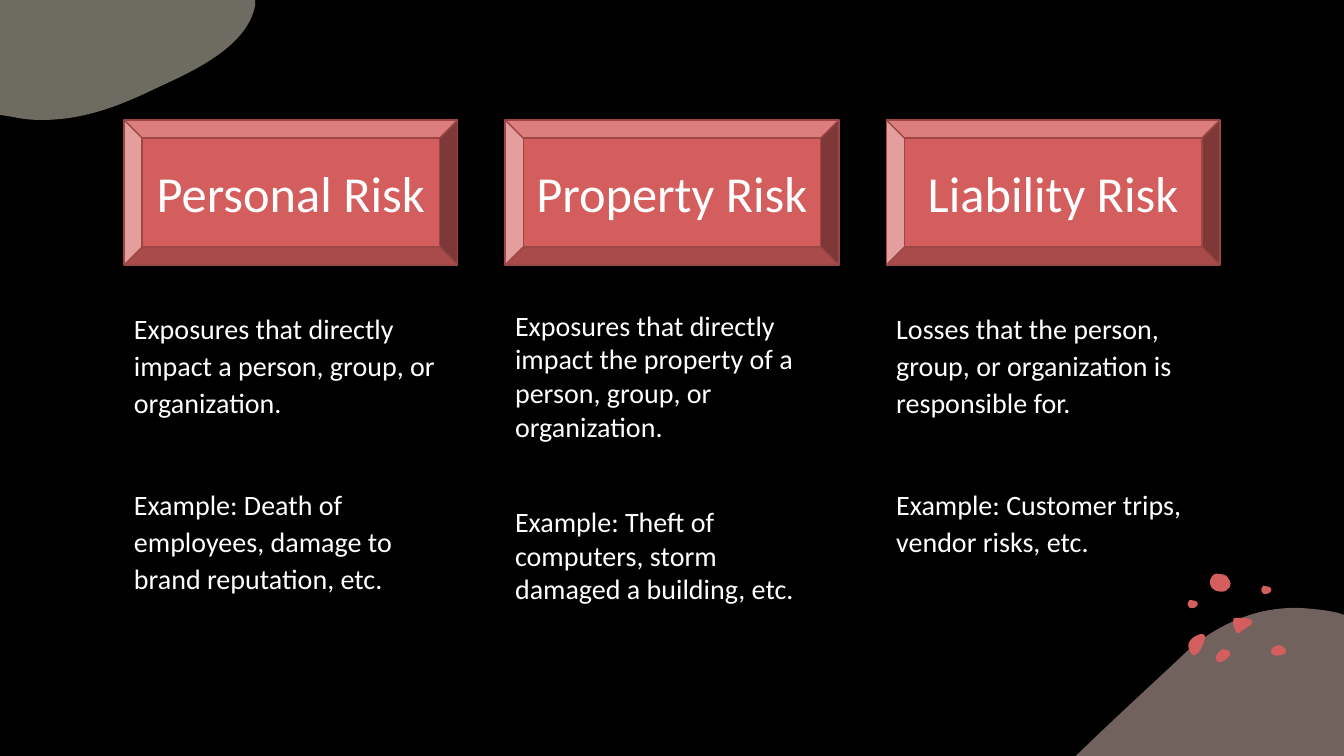
"""Build a slide that compares personal, property and liability risk."""
from dataclasses import dataclass

from lxml.etree import SubElement
from pptx import Presentation
from pptx.dml.color import RGBColor
from pptx.enum.shapes import MSO_SHAPE
from pptx.enum.text import MSO_ANCHOR, PP_ALIGN
from pptx.oxml.ns import qn
from pptx.util import Inches, Pt


@dataclass(frozen=True)
class Theme:
    font: str = "Calibri"
    heading_size: int = 36
    body_size: int = 20
    background: str = "000000"
    text: str = "FFFFFF"
    accent: str = "D45E5E"
    accent_line: str = "9D4646"
    rose: str = "E5C4BA"
    sand: str = "DCD9C3"


theme = Theme()


def add_outline(start, segments, color, opacity=100, shift=(0, 0)):
    """Draw a closed outline from lines (2 numbers) and cubic curves (6 numbers)."""
    shift_x, shift_y = shift
    builder = slide.shapes.build_freeform(
        Inches(start[0] + shift_x), Inches(start[1] + shift_y))
    builder.add_line_segments(
        [(Inches(segment[-2] + shift_x), Inches(segment[-1] + shift_y))
         for segment in segments], close=True)
    shape = builder.convert_to_shape()
    for segment, line in zip(segments, list(shape._element.iter(qn("a:lnTo")))):
        if len(segment) == 6:
            line.tag = qn("a:cubicBezTo")
            end_point = line[0]
            for x, y in (segment[:2], segment[2:4]):
                control_point = SubElement(line, qn("a:pt"))
                control_point.set("x", str(Inches(x + shift_x) - shape.left))
                control_point.set("y", str(Inches(y + shift_y) - shape.top))
            line.append(end_point)
    shape.shadow.inherit = False
    shape.line.fill.background()
    shape.fill.solid()
    shape.fill.fore_color.rgb = RGBColor.from_string(color)
    if opacity < 100:
        fill_color = shape._element.spPr.find(qn("a:solidFill"))[0]
        SubElement(fill_color, qn("a:alpha"), val=str(opacity * 1000))


def add_text(paragraph, text, size):
    """Add one run in the slide font and text colour."""
    run = paragraph.add_run()
    run.text = text
    run.font.name = theme.font
    run.font.size = Pt(size)
    run.font.color.rgb = RGBColor.from_string(theme.text)


presentation = Presentation()
presentation.slide_width = Inches(13.33)
presentation.slide_height = Inches(7.5)
slide = presentation.slides.add_slide(presentation.slide_layouts[6])
slide.background.fill.solid()
slide.background.fill.fore_color.rgb = RGBColor.from_string(theme.background)

add_outline((12.88, 6.03), [
    (13.01, 6.04, 13.14, 6.05, 13.27, 6.08), (13.33, 6.1), (13.33, 7.5),
    (10.67, 7.5), (10.68, 7.49), (11.02, 7.16, 11.37, 6.84, 11.69, 6.54),
    (11.91, 6.32, 12.14, 6.19, 12.37, 6.11), (12.54, 6.05, 12.71, 6.03, 12.88, 6.03),
], theme.rose, opacity=50)

spots = [
    ((12.13, 6.44), [
        (12.15, 6.44, 12.16, 6.44, 12.18, 6.45), (12.2, 6.46, 12.21, 6.48, 12.2, 6.5),
        (12.18, 6.53, 12.12, 6.58, 12.08, 6.57), (12.07, 6.56, 12.06, 6.54, 12.06, 6.52),
        (12.06, 6.5, 12.08, 6.47, 12.1, 6.46), (12.11, 6.45, 12.12, 6.44, 12.13, 6.44),
    ]),
    ((11.91, 6.29), [
        (11.93, 6.29, 11.95, 6.29, 11.95, 6.31), (11.95, 6.32, 11.95, 6.32, 11.95, 6.33),
        (11.94, 6.38, 11.92, 6.43, 11.89, 6.47), (11.87, 6.49, 11.84, 6.52, 11.82, 6.49),
        (11.79, 6.46, 11.78, 6.41, 11.79, 6.38), (11.8, 6.35, 11.82, 6.34, 11.84, 6.32),
        (11.85, 6.32, 11.88, 6.29, 11.91, 6.29),
    ]),
    ((12.69, 6.4), [
        (12.71, 6.4, 12.74, 6.42, 12.75, 6.44), (12.76, 6.46, 12.76, 6.48, 12.73, 6.49),
        (12.7, 6.51, 12.62, 6.51, 12.61, 6.48), (12.6, 6.46, 12.61, 6.44, 12.62, 6.43),
        (12.64, 6.41, 12.66, 6.4, 12.69, 6.4),
    ]),
    ((12.01, 5.81), [
        (12, 5.81, 11.99, 5.75, 12.02, 5.72), (12.04, 5.7, 12.04, 5.69, 12.07, 5.69),
        (12.1, 5.69, 12.14, 5.7, 12.16, 5.71), (12.18, 5.73, 12.22, 5.78, 12.2, 5.82),
        (12.17, 5.85, 12.16, 5.87, 12.12, 5.87), (12.09, 5.87, 12.04, 5.86, 12.03, 5.84),
        (12.01, 5.83, 12.01, 5.82, 12.01, 5.81),
    ]),
    ((12.28, 6.13), [
        (12.34, 6.13, 12.45, 6.13, 12.41, 6.19), (12.41, 6.2, 12.4, 6.21, 12.39, 6.21),
        (12.36, 6.23, 12.33, 6.25, 12.3, 6.27), (12.29, 6.28, 12.28, 6.29, 12.27, 6.28),
        (12.27, 6.28, 12.26, 6.27, 12.26, 6.27), (12.24, 6.23, 12.23, 6.2, 12.23, 6.16),
        (12.23, 6.15, 12.23, 6.14, 12.24, 6.13), (12.24, 6.13, 12.25, 6.13, 12.25, 6.13),
        (12.26, 6.13, 12.27, 6.13, 12.28, 6.13),
    ]),
]
for start, segments in spots:
    add_outline(start, segments, theme.accent)

for shift in ((0, 0), (-0.73, 0.14)):
    add_outline((12.51, 5.86), [
        (12.51, 5.86, 12.51, 5.82, 12.53, 5.81), (12.55, 5.81, 12.56, 5.81, 12.58, 5.82),
        (12.59, 5.82, 12.61, 5.83, 12.61, 5.85), (12.61, 5.86, 12.6, 5.88, 12.59, 5.88),
        (12.59, 5.88, 12.59, 5.89, 12.57, 5.89), (12.56, 5.89, 12.54, 5.9, 12.53, 5.89),
        (12.52, 5.87, 12.51, 5.87, 12.51, 5.86),
    ], theme.accent, shift=shift)

add_outline((0, 0), [
    (2.53, 0), (2.53, 0.06), (2.45, 0.44, 2, 0.67, 1.58, 0.86),
    (1.23, 1.03, 0.86, 1.19, 0.41, 1.19), (0.31, 1.19, 0.22, 1.18, 0.13, 1.16),
    (0, 1.14), (0, 0),
], theme.sand, opacity=50)

risks = [
    ("Personal Risk", "Exposures that directly impact a person, group, or organization.",
     "Example: Death of employees, damage to brand reputation, etc.", 3.3, 1.1, 46.4),
    ("Property Risk",
     "Exposures that directly impact the property of a person, group, or organization.",
     "Example: Theft of computers, storm damaged a building, etc.", 3.58, 1.0, 44),
    ("Liability Risk", "Losses that the person, group, or organization is responsible for.",
     "Example: Customer trips, vendor risks, etc.", 3.3, 1.1, 46.4),
]
for column, (title, definition, example, height, line_spacing, gap) in enumerate(risks):
    left = Inches(1.23 + 3.78 * column)

    heading = slide.shapes.add_shape(
        MSO_SHAPE.BEVEL, left, Inches(1.19), Inches(3.31), Inches(1.44))
    heading.shadow.inherit = False
    heading.fill.solid()
    heading.fill.fore_color.rgb = RGBColor.from_string(theme.accent)
    heading.line.color.rgb = RGBColor.from_string(theme.accent_line)
    heading.line.width = Pt(1)
    heading.text_frame.vertical_anchor = MSO_ANCHOR.MIDDLE
    paragraph = heading.text_frame.paragraphs[0]
    paragraph.alignment = PP_ALIGN.CENTER
    add_text(paragraph, title, theme.heading_size)

    body = slide.shapes.add_textbox(left, Inches(3.01), Inches(3.28), Inches(height))
    body.text_frame.word_wrap = True
    definition_paragraph = body.text_frame.paragraphs[0]
    example_paragraph = body.text_frame.add_paragraph()
    example_paragraph.space_before = Pt(gap)
    for paragraph, text in ((definition_paragraph, definition), (example_paragraph, example)):
        paragraph.line_spacing = line_spacing
        add_text(paragraph, text, theme.body_size)

presentation.save("out.pptx")
